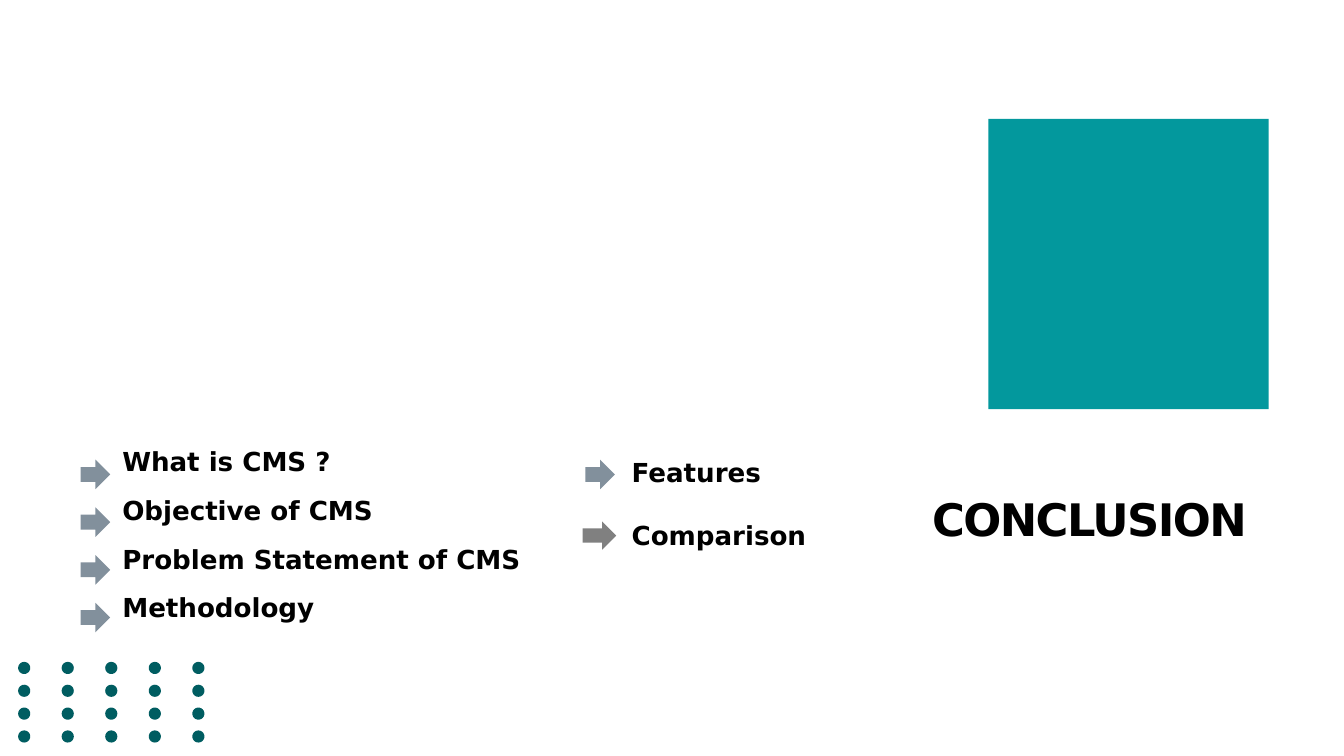
from math import cos, pi, sin

from pptx import Presentation
from pptx.dml.color import RGBColor
from pptx.enum.shapes import MSO_SHAPE
from pptx.enum.text import MSO_ANCHOR, PP_ALIGN
from pptx.util import Inches, Pt

FONT = "DejaVu Sans"
TEAL, DARK_TEAL = "03989D", "005D61"
SLATE, GRAY, BLACK = "82909C", "808080", "000000"


def rgb(color):
    return RGBColor.from_string(color)


def paint(sp, color):
    sp.shadow.inherit = False
    sp.fill.solid()
    sp.fill.fore_color.rgb = rgb(color)
    sp.line.fill.background()


def add_shape(s, kind, x, y, w, h, color):
    sp = s.shapes.add_shape(kind, Inches(x), Inches(y), Inches(w), Inches(h))
    paint(sp, color)


def add_arrow(s, x, y, w=0.44, h=0.44, color=SLATE):
    add_shape(s, MSO_SHAPE.RIGHT_ARROW, x, y, w, h, color)


def circle_points(cx, cy, radius, count=24):
    angles = [2 * pi * i / count for i in range(count)]
    return [(Inches(cx + radius * cos(a)), Inches(cy + radius * sin(a)))
            for a in angles]


def add_dots(s, x, y, columns, rows, radius=0.09):
    dots = [circle_points(x + column * 0.648, y + row * 0.34, radius)
            for row in range(rows) for column in range(columns)]
    builder = s.shapes.build_freeform(*dots[0][0])
    for points in dots:
        builder.move_to(*points[0])
        builder.add_line_segments(points[1:], close=True)
    paint(builder.convert_to_shape(), DARK_TEAL)


def set_text(sp, lines, size, line_spacing=1.0):
    tf = sp.text_frame
    tf.word_wrap = True
    tf.vertical_anchor = MSO_ANCHOR.TOP
    tf.margin_left = tf.margin_right = tf.margin_top = tf.margin_bottom = 0
    tf.text = "\n".join(lines)
    for p in tf.paragraphs:
        p.alignment = PP_ALIGN.LEFT
        p.line_spacing = line_spacing
        p.space_before = Pt(0.3)
        p.font.name = FONT
        p.font.size = Pt(size)
        p.font.bold = True
        p.font.color.rgb = rgb(BLACK)


def add_text(s, x, y, w, h, lines, line_spacing=1.0):
    sp = s.shapes.add_textbox(Inches(x), Inches(y), Inches(w), Inches(h))
    set_text(sp, lines, 28, line_spacing)


def add_title(s, text):
    sp = s.shapes.title
    sp.left, sp.top = Inches(13.87), Inches(7.31)
    sp.width, sp.height = Inches(4.83), Inches(0.82)
    set_text(sp, [text], 48)
    r = sp.text_frame.paragraphs[0].runs[0]
    r.font._element.set("spc", "-170")


def main():
    prs = Presentation()
    prs.slide_width, prs.slide_height = Inches(20), Inches(11.25)
    s = prs.slides.add_slide(prs.slide_layouts[5])

    add_shape(s, MSO_SHAPE.RECTANGLE, 14.71, 1.77, 4.17, 4.32, TEAL)
    add_dots(s, 0.36, 9.94, columns=5, rows=4)
    add_title(s, "CONCLUSION")

    topics = ["What is CMS ?", "Objective of CMS",
              "Problem Statement of CMS", "Methodology"]
    for i in range(len(topics)):
        add_arrow(s, 1.2, 6.84 + i * 0.71)
    add_text(s, 1.82, 6.38, 6.45, 2.85, topics, 1.54)

    add_arrow(s, 8.71, 6.84)
    add_text(s, 9.4, 6.79, 2.68, 0.47, ["Features"])
    add_arrow(s, 8.67, 7.76, 0.5, 0.42, GRAY)
    add_text(s, 9.4, 7.73, 3.03, 0.47, ["Comparison"])

    prs.save("out.pptx")


if __name__ == "__main__":
    main()
